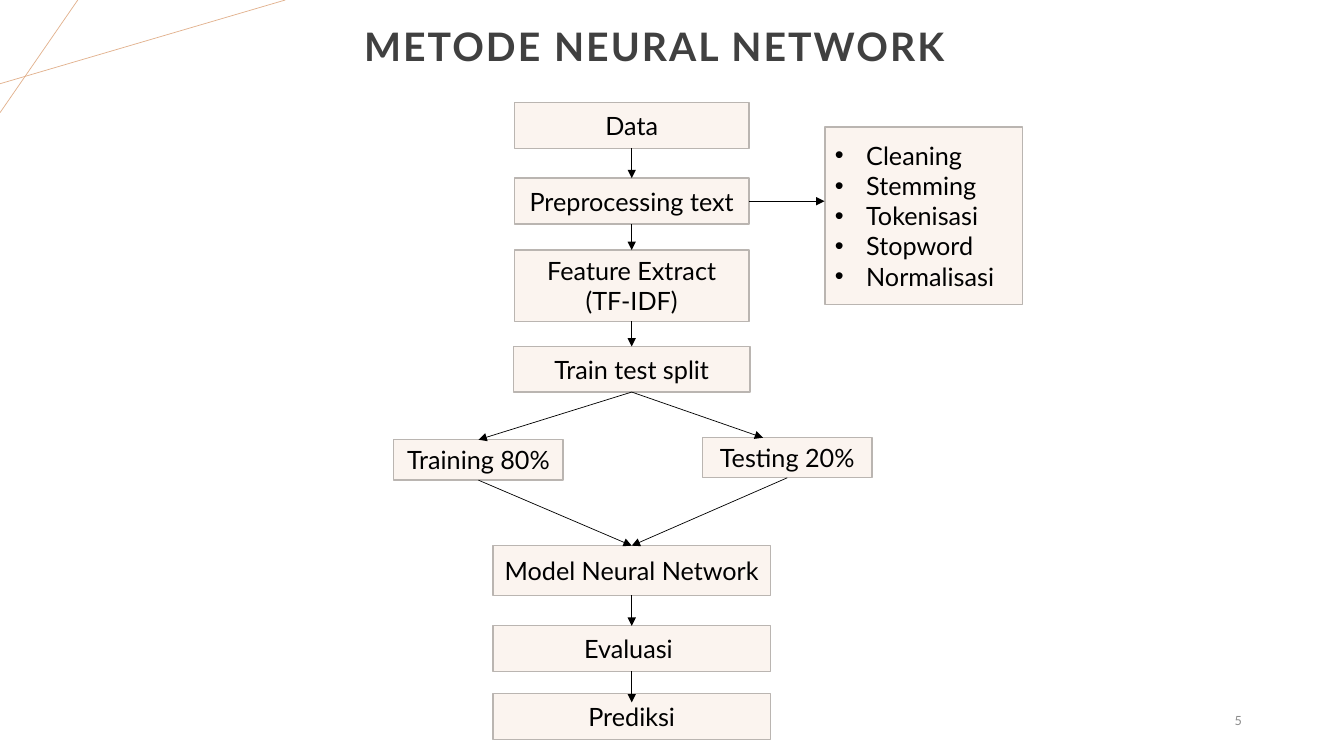
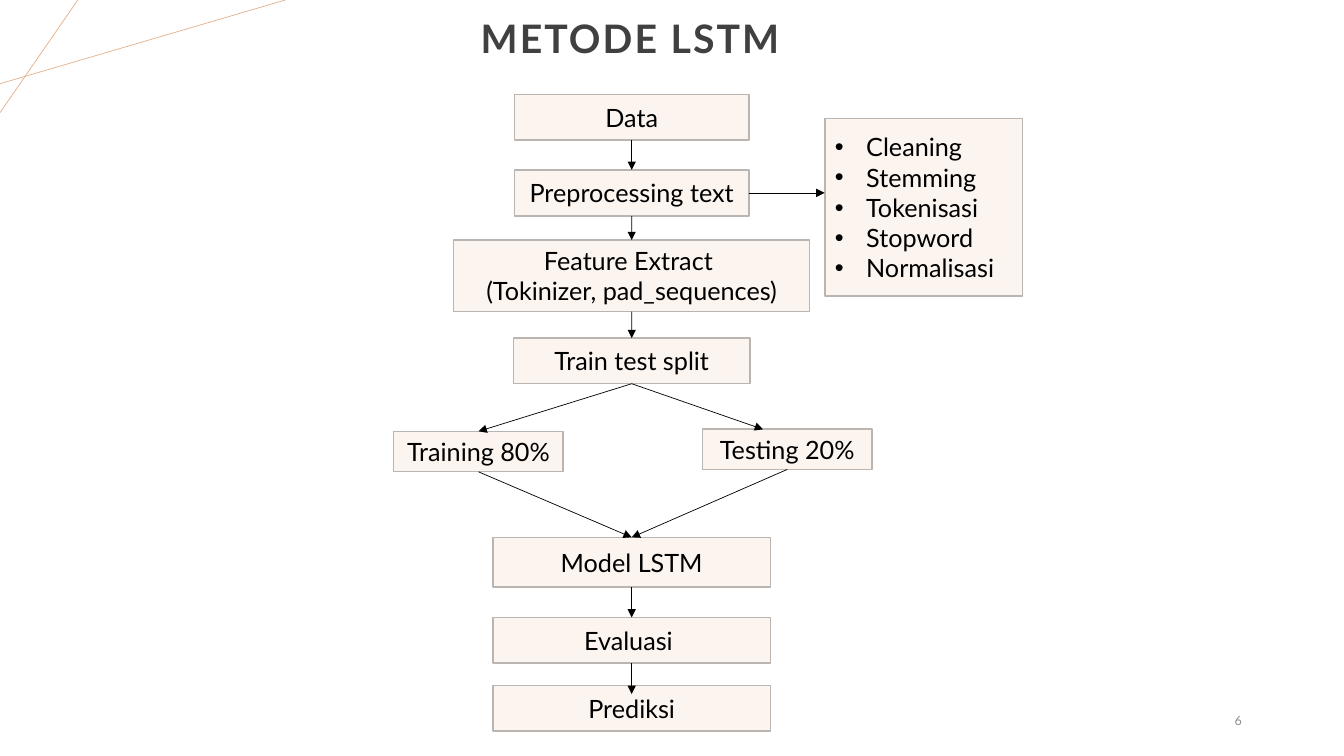
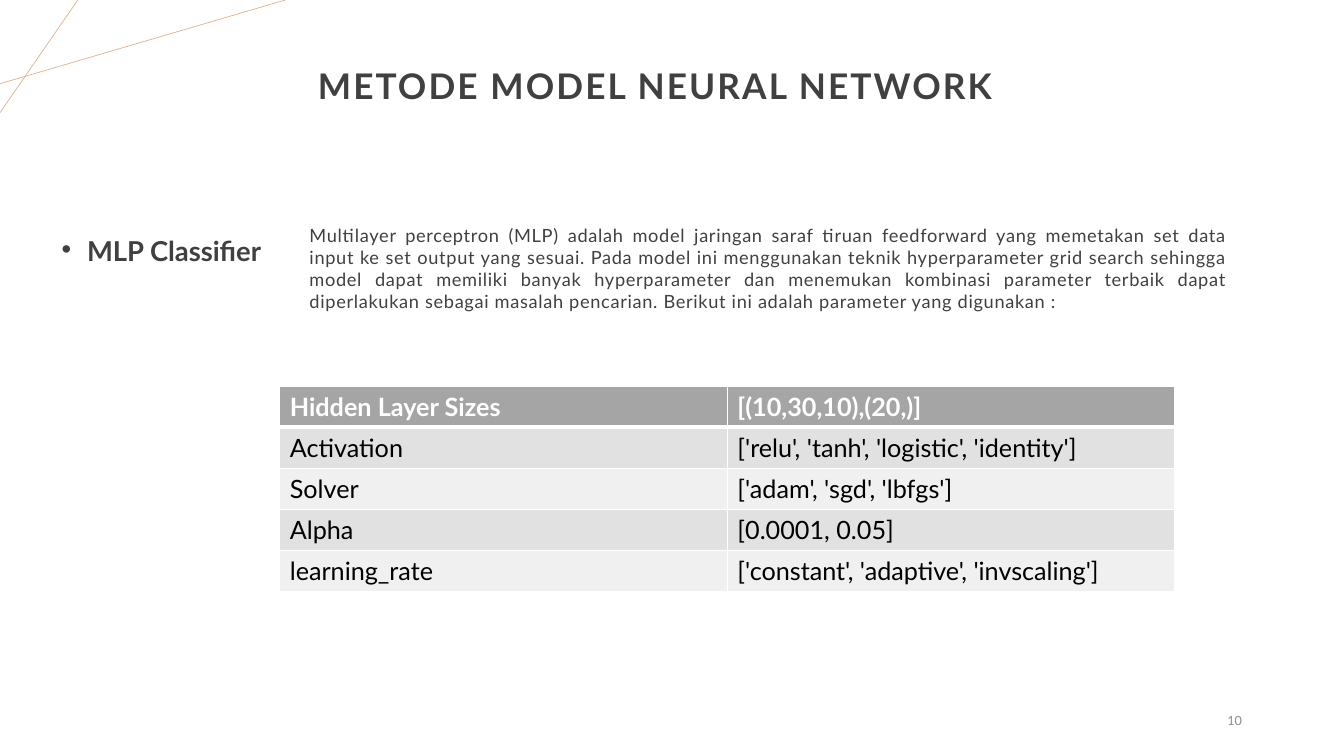
"""Build three slides on neural network and LSTM methods."""
from dataclasses import dataclass
from typing import Union

import pptx
import pptx.dml.color
import pptx.enum.shapes
import pptx.enum.text
import pptx.oxml
import pptx.oxml.ns
import pptx.presentation
import pptx.shapes.autoshape
import pptx.shapes.connector
import pptx.slide
import pptx.table
import pptx.text.text
import pptx.util

Cm = pptx.util.Cm
Pt = pptx.util.Pt
Align = pptx.enum.text.PP_ALIGN
Anchor = pptx.enum.text.MSO_ANCHOR
TOP, LEFT, BOTTOM, RIGHT = range(4)


@dataclass(frozen=True)
class TextStyle:
    size: float
    color: str
    bold: bool = False
    tracking: float = 0


@dataclass(frozen=True)
class Theme:
    font: str = "Lato"
    bullet_font: str = "Arial"
    accent: str = "E2B18D"
    box_fill: str = "FBF4EF"
    box_line: str = "BAB5B1"
    arrow: str = "000000"
    cell_line: str = "FFFFFF"
    head_fill: str = "A5A5A5"
    row_fills: tuple[str, str] = ("E1E1E1", "F0F0F0")
    hairline: float = 0.5
    title: TextStyle = TextStyle(28, "404040", True, 1.5)
    small_title: TextStyle = TextStyle(25.2, "404040", True, 1.5)
    number: TextStyle = TextStyle(9, "8C8C8C")
    body: TextStyle = TextStyle(18, "000000")
    table_head: TextStyle = TextStyle(18, "FFFFFF", True)
    topic: TextStyle = TextStyle(19.6, "404040", True)
    description: TextStyle = TextStyle(13, "404040", False, 0.5)


@dataclass(frozen=True)
class Area:
    left: float
    top: float
    width: float
    height: float

    def lengths(self) -> tuple[int, int, int, int]:
        return Cm(self.left), Cm(self.top), Cm(self.width), Cm(self.height)


@dataclass(frozen=True)
class Step:
    key: str
    lines: tuple[str, ...]
    top: float
    width: float
    height: float = 1.15
    center: float = 15.92
    bulleted: bool = False


@dataclass(frozen=True)
class Link:
    start: str
    end: Union[str, tuple[float, float]]
    start_side: int = BOTTOM


@dataclass(frozen=True)
class Method:
    title: str
    title_area: Area
    number: str
    shift: float
    features: tuple[str, ...]
    features_top: float
    features_width: float
    model: str


THEME = Theme()
CLEANUP = ("Cleaning", "Stemming", "Tokenisasi", "Stopword", "Normalisasi")
LINKS = (
    Link("data", "preprocessing"),
    Link("preprocessing", (20.78, 5.07), RIGHT),
    Link("preprocessing", "features"),
    Link("features", "split"),
    Link("split", (19.23, 11.03)),
    Link("split", "training"),
    Link("training", "model"),
    Link("testing", "model"),
    Link("model", "evaluation"),
    Link("evaluation", (15.92, 17.7)),
)
METHODS = (
    Method("METODE NEURAL NETWORK", Area(8.77, 0.51, 15.44, 1.42), "5", 0,
           ("Feature Extract (TF-IDF)",), 6.3, 5.92, "Model Neural Network"),
    Method("METODE LSTM", Area(8.16, 0.25, 15.44, 1.55), "6", -0.21,
           ("Feature Extract ", "(Tokinizer, pad_sequences)"), 6.26, 8.97, "Model LSTM"),
)
DESCRIPTION = (
    "Multilayer perceptron (MLP) adalah model jaringan saraf tiruan feedforward yang "
    "memetakan set data input ke set output yang sesuai. Pada model ini menggunakan teknik "
    "hyperparameter grid search sehingga model dapat memiliki banyak hyperparameter dan "
    "menemukan kombinasi parameter terbaik dapat diperlakukan sebagai masalah pencarian. "
    "Berikut ini adalah parameter yang digunakan :"
)
PARAMETERS = (
    ("Hidden Layer Sizes", "[(10,30,10),(20,)]"),
    ("Activation", "['relu', 'tanh', 'logistic', 'identity']"),
    ("Solver", "['adam', 'sgd', 'lbfgs']"),
    ("Alpha", "[0.0001, 0.05]"),
    ("learning_rate", "['constant', 'adaptive', 'invscaling']"),
)


def rgb(color: str) -> pptx.dml.color.RGBColor:
    return pptx.dml.color.RGBColor.from_string(color)


def element(xml_name: str, **attributes: str):
    made = pptx.oxml.parse_xml(f'<{xml_name} {pptx.oxml.ns.nsdecls("a")}/>')
    for key, value in attributes.items():
        made.set(key, value)
    return made


def write(paragraph: pptx.text.text._Paragraph, text: str, style: TextStyle) -> None:
    run = paragraph.add_run()
    run.text = text
    run.font.name = THEME.font
    run.font.size = Pt(style.size)
    run.font.bold = style.bold
    run.font.color.rgb = rgb(style.color)
    if style.tracking:
        run._r.get_or_add_rPr().set("spc", str(round(style.tracking * 100)))


def add_bullet(paragraph: pptx.text.text._Paragraph, indent: float) -> None:
    properties = paragraph._p.get_or_add_pPr()
    properties.set("marL", str(Cm(indent)))
    properties.set("indent", str(-Cm(indent)))
    properties.append(element("a:buFont", typeface=THEME.bullet_font))
    properties.append(element("a:buChar", char="•"))


def add_text(slide: pptx.slide.Slide, area: Area, text: str, style: TextStyle,
             align: Align, anchor: Anchor = Anchor.TOP) -> pptx.text.text._Paragraph:
    frame = slide.shapes.add_textbox(*area.lengths()).text_frame
    frame.word_wrap = True
    frame.vertical_anchor = anchor
    paragraph = frame.paragraphs[0]
    paragraph.alignment = align
    write(paragraph, text, style)
    return paragraph


def add_line(slide: pptx.slide.Slide, start: tuple[float, float], end: tuple[float, float],
             color: str) -> pptx.shapes.connector.Connector:
    line = slide.shapes.add_connector(
        pptx.enum.shapes.MSO_CONNECTOR.STRAIGHT, *map(Cm, start + end))
    line.line.color.rgb = rgb(color)
    line.line.width = Pt(THEME.hairline)
    line._element.spPr.append(element("a:effectLst"))
    return line


def start_slide(deck: pptx.presentation.Presentation, title: str, area: Area,
                style: TextStyle, number: str) -> pptx.slide.Slide:
    slide = deck.slides.add_slide(deck.slide_layouts[5])
    add_line(slide, (0, 2.11), (7.19, 0), THEME.accent)
    add_line(slide, (1.96, 0), (0, 2.84), THEME.accent)
    heading = slide.shapes.title
    heading.left, heading.top, heading.width, heading.height = area.lengths()
    frame = heading.text_frame
    frame.auto_size = pptx.enum.text.MSO_AUTO_SIZE.NONE
    frame.vertical_anchor = Anchor.MIDDLE
    frame.paragraphs[0].alignment = Align.CENTER
    frame.paragraphs[0].line_spacing = 0.9
    write(frame.paragraphs[0], title, style)
    add_text(slide, Area(23.93, 17.65, 7.62, 1.02), number, THEME.number,
             Align.RIGHT, Anchor.MIDDLE)
    return slide


def add_step(slide: pptx.slide.Slide, step: Step, shift: float) -> pptx.shapes.autoshape.Shape:
    area = Area(step.center - step.width / 2, step.top + shift, step.width, step.height)
    box = slide.shapes.add_shape(pptx.enum.shapes.MSO_SHAPE.RECTANGLE, *area.lengths())
    box.shadow.inherit = False
    box.fill.solid()
    box.fill.fore_color.rgb = rgb(THEME.box_fill)
    box.line.color.rgb = rgb(THEME.box_line)
    box.line.width = Pt(1)
    frame = box.text_frame
    frame.word_wrap = True
    frame.vertical_anchor = Anchor.MIDDLE
    paragraph = frame.paragraphs[0]
    for index, line in enumerate(step.lines):
        if index and step.bulleted:
            paragraph = frame.add_paragraph()
        elif index:
            paragraph.add_line_break()
        paragraph.alignment = Align.LEFT if step.bulleted else Align.CENTER
        write(paragraph, line, THEME.body)
        if step.bulleted:
            add_bullet(paragraph, 0.79)
    return box


def add_link(slide: pptx.slide.Slide, link: Link,
             boxes: dict[str, pptx.shapes.autoshape.Shape], shift: float) -> None:
    joined = isinstance(link.end, str)
    end = (0, 0) if joined else (link.end[0], link.end[1] + shift)
    arrow = add_line(slide, (0, 0), end, THEME.arrow)
    arrow.begin_connect(boxes[link.start], link.start_side)
    if joined:
        arrow.end_connect(boxes[link.end], TOP)
    arrow.line._get_or_add_ln().append(element("a:tailEnd", type="triangle"))


def add_method_slide(deck: pptx.presentation.Presentation, method: Method) -> None:
    slide = start_slide(deck, method.title, method.title_area, THEME.title, method.number)
    steps = (
        Step("data", ("Data",), 2.59, 5.92),
        Step("preprocessing", ("Preprocessing text",), 4.49, 5.92, 1.16),
        Step("cleanup", CLEANUP, 3.2, 4.98, 4.47, 23.28, True),
        Step("features", method.features, method.features_top, method.features_width, 1.8),
        Step("split", ("Train test split",), 8.73, 5.97),
        Step("testing", ("Testing 20%",), 11.02, 4.27, 1.02, 19.84),
        Step("training", ("Training 80%",), 11.08, 4.27, 1.02, 12.06),
        Step("model", (method.model,), 13.75, 6.99, 1.25),
        Step("evaluation", ("Evaluasi ",), 15.77, 6.99),
        Step("prediction", ("Prediksi",), 17.48, 6.99),
    )
    boxes = {step.key: add_step(slide, step, method.shift) for step in steps}
    for link in LINKS:
        add_link(slide, link, boxes, method.shift)


def format_cell(cell: pptx.table._Cell, text: str, row: int) -> None:
    properties = cell._tc.get_or_add_tcPr()
    thick_side = {0: "B", 1: "T"}.get(row)
    for side in "LRTB":
        border = element(f"a:ln{side}", w=str(Pt(3 if side == thick_side else 1)))
        fill = element("a:solidFill")
        fill.append(element("a:srgbClr", val=THEME.cell_line))
        border.append(fill)
        properties.append(border)
    cell.fill.solid()
    cell.fill.fore_color.rgb = rgb(THEME.row_fills[(row - 1) % 2] if row else THEME.head_fill)
    write(cell.text_frame.paragraphs[0], text, THEME.body if row else THEME.table_head)


def add_parameters(slide: pptx.slide.Slide, area: Area) -> None:
    grid = slide.shapes.add_table(len(PARAMETERS), 2, *area.lengths()).table
    for row, texts in enumerate(PARAMETERS):
        for column, text in enumerate(texts):
            format_cell(grid.cell(row, column), text, row)


def add_model_slide(deck: pptx.presentation.Presentation) -> None:
    slide = start_slide(deck, "METODE MODEL NEURAL NETWORK", Area(1.91, 1.66, 29.21, 1.12),
                        THEME.small_title, "10")
    topic = add_text(slide, Area(1.1, 5.99, 5.94, 1.42), "MLP Classifier",
                     THEME.topic, Align.CENTER)
    topic.line_spacing = 0.7
    topic.space_before = Pt(10)
    add_bullet(topic, 0.64)
    description = add_text(slide, Area(7.55, 5.53, 23.62, 2.79), DESCRIPTION,
                           THEME.description, Align.JUSTIFY)
    description.space_before = Pt(10)
    add_parameters(slide, Area(7.05, 9.73, 22.56, 5.17))


def main() -> None:
    deck = pptx.Presentation()
    deck.slide_width, deck.slide_height = Cm(33.87), Cm(19.05)
    for method in METHODS:
        add_method_slide(deck, method)
    add_model_slide(deck)
    deck.save("out.pptx")


if __name__ == "__main__":
    main()
